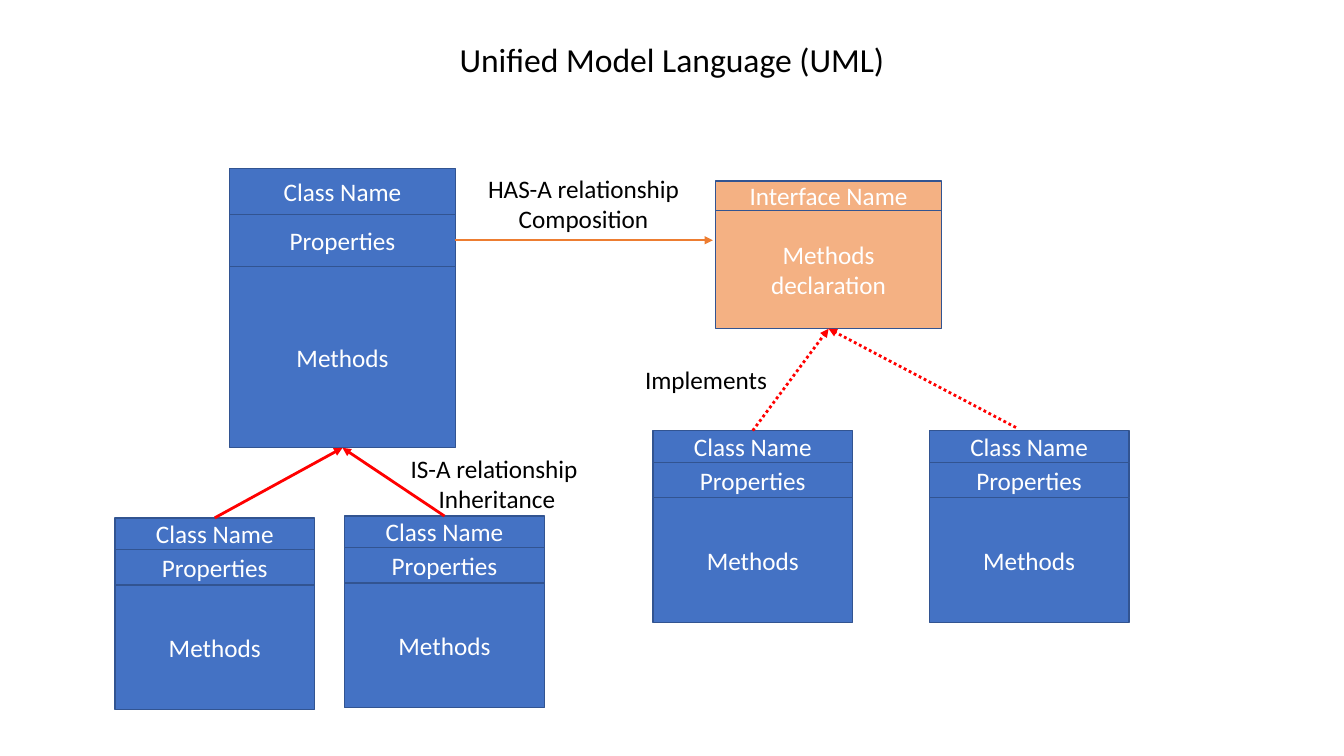
"""Build a UML overview slide showing composition, inheritance and implementation."""
from collections import namedtuple
from dataclasses import dataclass

import lxml.etree
import pptx
import pptx.dml.color
import pptx.enum.dml
import pptx.enum.shapes
import pptx.enum.text
import pptx.oxml.ns
import pptx.util

Pt = pptx.util.Pt
ALIGN = pptx.enum.text.PP_ALIGN
ANCHOR = pptx.enum.text.MSO_ANCHOR
DASH = pptx.enum.dml.MSO_LINE


@dataclass(frozen=True)
class Theme:
    """Hold the colours, font and type sizes of the slide."""
    font: str = "Calibri"
    title_size: float = 24
    body_size: float = 18
    ink: str = "000000"
    inverse: str = "FFFFFF"
    class_fill: str = "4472C4"
    interface_fill: str = "F4B183"
    border: str = "325491"
    composition: str = "ED7D31"
    inheritance: str = "FF0000"


THEME = Theme()


class Box(namedtuple("Box", "x y w h")):
    """Describe a rectangle in points."""

    def top(self):
        """Return the middle of the upper edge."""
        return self.x + self.w / 2, self.y

    def bottom(self):
        """Return the middle of the lower edge."""
        return self.x + self.w / 2, self.y + self.h

    def emu(self):
        """Return the four lengths for python-pptx."""
        return [Pt(v) for v in self]


CLASS_ROWS = (("Class Name", 0.165), ("Properties", 0.185), ("Methods", 0.65))
INTERFACE_ROWS = (("Interface Name", 0.2), ("Methods declaration", 0.8))


def rgb(value):
    """Return a colour object for a hex value."""
    return pptx.dml.color.RGBColor.from_string(value)


def write(tf, lines, size, color, align=ALIGN.CENTER):
    """Write one paragraph with one run for each line."""
    for i, line in enumerate(lines):
        p = tf.add_paragraph() if i else tf.paragraphs[0]
        p.alignment = align
        r = p.add_run()
        r.text = line
        r.font.name = THEME.font
        r.font.size = Pt(size)
        r.font.color.rgb = rgb(color)


def add_title(s, box, text):
    """Place and format the title placeholder."""
    sp = s.shapes.title
    sp.left, sp.top, sp.width, sp.height = box.emu()
    tf = sp.text_frame
    tf.auto_size = pptx.enum.text.MSO_AUTO_SIZE.NONE
    tf.vertical_anchor = ANCHOR.TOP
    write(tf, [text], THEME.title_size, THEME.ink)
    tf.paragraphs[0].line_spacing = 0.8


def add_uml_box(s, box, rows, fill):
    """Stack named compartments, sized by their shares, in one group."""
    group = s.shapes.add_group_shape()
    y = box.y
    for text, share in rows:
        row = Box(box.x, y, box.w, box.h * share)
        sp = group.shapes.add_shape(pptx.enum.shapes.MSO_SHAPE.RECTANGLE, *row.emu())
        sp.shadow.inherit = False
        sp.fill.solid()
        sp.fill.fore_color.rgb = rgb(fill)
        sp.line.color.rgb = rgb(THEME.border)
        sp.line.width = Pt(1)
        tf = sp.text_frame
        tf.word_wrap = True
        tf.vertical_anchor = ANCHOR.MIDDLE
        write(tf, [text], THEME.body_size, THEME.inverse)
        y += row.h


def add_arrow(s, start, end, color, width=2, dash=None):
    """Draw a straight arrow with a triangular head at its end."""
    cn = s.shapes.add_connector(pptx.enum.shapes.MSO_CONNECTOR.STRAIGHT,
                                *(Pt(v) for v in (*start, *end)))
    cn.line.color.rgb = rgb(color)
    cn.line.width = Pt(width)
    if dash:
        cn.line.dash_style = dash
    qn = pptx.oxml.ns.qn
    sp_pr = cn._element.spPr
    lxml.etree.SubElement(sp_pr.find(qn("a:ln")), qn("a:tailEnd"), type="triangle")
    lxml.etree.SubElement(sp_pr, qn("a:effectLst"))


def add_label(s, box, lines, align=ALIGN.CENTER):
    """Add a relationship label."""
    tf = s.shapes.add_textbox(*box.emu()).text_frame
    tf.word_wrap = True
    write(tf, lines, THEME.body_size, THEME.ink, align)


def add_composition(s, parent, interface):
    """Link the parent's properties to the interface."""
    y = parent.y + parent.h * 0.257
    add_arrow(s, (parent.x + parent.w, y), (interface.x - 2, y), THEME.composition, 1.5)
    add_label(s, Box(parent.x + parent.w + 16, parent.y, 151, 51),
              ["HAS-A relationship", "Composition"])


def add_inheritance(s, parent, children):
    """Link the child classes to the parent."""
    for child in children:
        add_arrow(s, child.top(), parent.bottom(), THEME.inheritance)
    x, y = parent.bottom()
    add_label(s, Box(x + 39, y, 142.6, 51), ["IS-A relationship ", "Inheritance"])


def add_implementation(s, interface, starts):
    """Link the implementing classes to the interface."""
    for start in starts:
        add_arrow(s, start, interface.bottom(), THEME.inheritance, dash=DASH.ROUND_DOT)
    x, y = interface.bottom()
    add_label(s, Box(x - 138.2, y + 22, 121.7, 29), ["Implements"], ALIGN.LEFT)


def build_uml_slide(prs):
    """Build the UML overview slide."""
    s = prs.slides.add_slide(prs.slide_layouts[5])
    parent = Box(164, 120.3, 161.3, 199.6)
    interface = Box(511.2, 129.4, 161.3, 105.4)
    children = [Box(x, y, 142.6, 137) for x, y in ((82.1, 369.9), (246.2, 368.6))]
    implementers = [Box(x, 307.6, 142.6, 137) for x in (466.4, 663.8)]
    add_title(s, Box(120, 29.5, 720, 33), "Unified Model Language (UML)")
    for box in [parent, *children, *implementers]:
        add_uml_box(s, box, CLASS_ROWS, THEME.class_fill)
    add_uml_box(s, interface, INTERFACE_ROWS, THEME.interface_fill)
    add_composition(s, parent, interface)
    add_inheritance(s, parent, children)
    x, y = implementers[1].top()
    add_implementation(s, interface, [implementers[0].top(), (x - 9.4, y - 2.2)])


prs = pptx.Presentation()
prs.slide_width, prs.slide_height = Pt(960), Pt(540)
build_uml_slide(prs)
prs.save("out.pptx")
